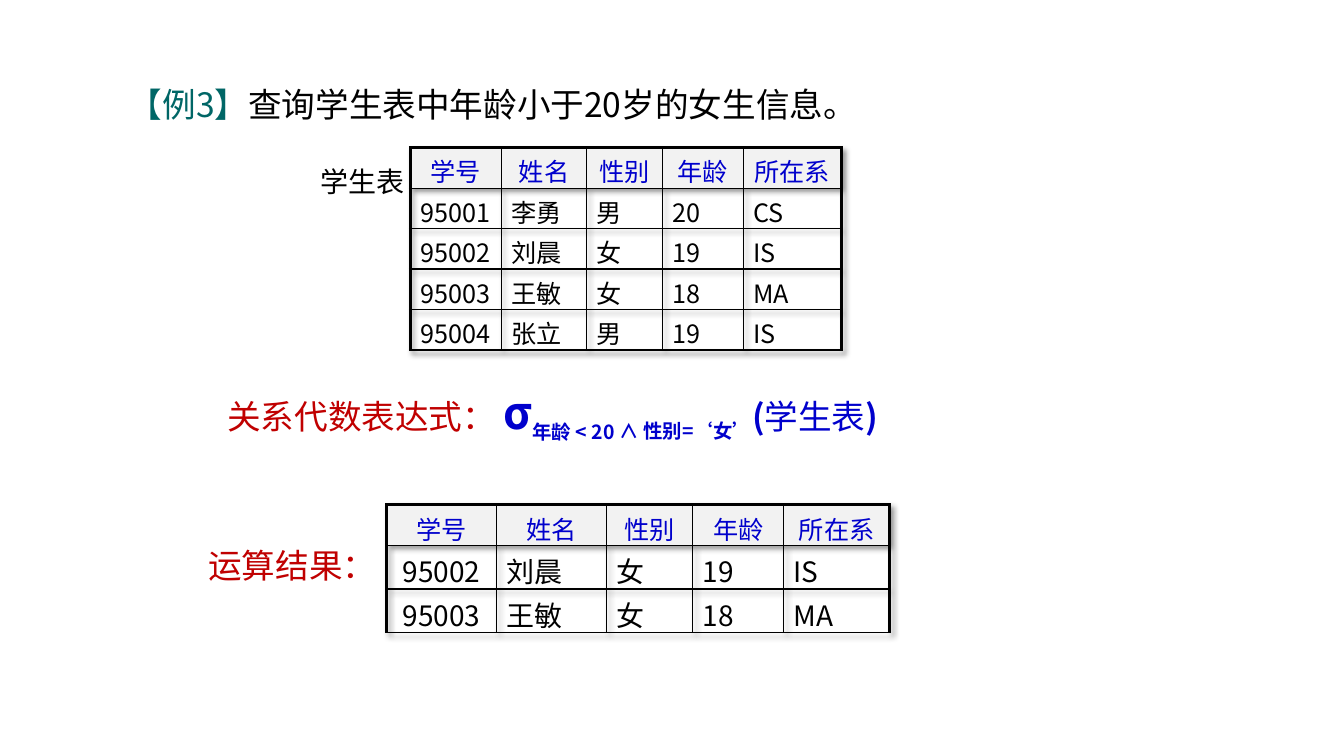
from lxml.etree import SubElement
from pptx import Presentation
from pptx.dml.color import RGBColor
from pptx.enum.text import MSO_ANCHOR as ANCHOR, MSO_AUTO_SIZE as AUTO, PP_ALIGN as ALIGN
from pptx.oxml.ns import qn
from pptx.util import Cm, Pt

FONT = "Noto Sans CJK SC"
BLACK, BLUE, RED, TEAL, GREY = "000000", "0000CC", "C00000", "006666", "F2F2F2"
THIN, THICK = Pt(1), Pt(2.25)
HEADERS = ["学号", "姓名", "性别", "年龄", "所在系"]
STUDENTS = [
    ["95001", "李勇", "男", "20", "CS"],
    ["95002", "刘晨", "女", "19", "IS"],
    ["95003", "王敏", "女", "18", "MA"],
    ["95004", "张立", "男", "19", "IS"],
]
RESULT = [row for row in STUDENTS if row[2] == "女" and int(row[3]) < 20]


def rgb(value):
    return RGBColor.from_string(value)


def add_text(p, text, size=24, color=BLACK, bold=False, baseline=0):
    """Append a run; baseline is a percentage, negative for subscript."""
    r = p.add_run()
    r.text = text
    r.font.size = Pt(size)
    r.font.bold = bold
    r.font.color.rgb = rgb(color)
    r.font.name = FONT
    props = r._r.get_or_add_rPr()
    SubElement(props, qn("a:ea"), typeface=FONT)
    if baseline:
        props.set("baseline", str(baseline * 1000))


def add_box(slide, left, top, width, height, wrap=True, anchor=ANCHOR.TOP):
    """Add an empty text box and return its first paragraph."""
    tf = slide.shapes.add_textbox(Cm(left), Cm(top), Cm(width), Cm(height)).text_frame
    tf.word_wrap = wrap
    tf.vertical_anchor = anchor
    tf.auto_size = AUTO.SHAPE_TO_FIT_TEXT if wrap else AUTO.NONE
    return tf.paragraphs[0]


def set_borders(cell, **widths):
    props = cell._tc.get_or_add_tcPr()
    for position, side in enumerate("LRTB"):
        line = props.makeelement(qn(f"a:ln{side}"), w=str(widths[side]))
        fill = SubElement(line, qn("a:solidFill"))
        SubElement(fill, qn("a:srgbClr"), val=BLACK)
        props.insert(position, line)


def add_shadow(table):
    props = table._tbl.tblPr
    effects = props.makeelement(qn("a:effectLst"))
    shadow = SubElement(effects, qn("a:outerShdw"), blurRad="50800", dist="38100",
                        dir="2700000", algn="tl", rotWithShape="0")
    color = SubElement(shadow, qn("a:srgbClr"), val=BLACK)
    SubElement(color, qn("a:alpha"), val="40000")
    props.insert(0, effects)


def add_grid(slide, left, top, widths, heights, records, size, bottom):
    """Add a table of students; bottom is the width of its lowest border."""
    rows = [HEADERS] + records
    last_row, last_col = len(rows) - 1, len(HEADERS) - 1
    frame = slide.shapes.add_table(len(rows), len(HEADERS), Cm(left), Cm(top),
                                   Cm(sum(widths)), Cm(sum(heights)))
    table = frame.table
    table.horz_banding = False
    add_shadow(table)
    for column, width in zip(table.columns, widths):
        column.width = Cm(width)
    for i, (row, height) in enumerate(zip(rows, heights)):
        table.rows[i].height = Cm(height)
        for j, text in enumerate(row):
            cell = table.cell(i, j)
            if i == 0:
                cell.fill.solid()
                cell.fill.fore_color.rgb = rgb(GREY)
            else:
                cell.fill.background()
            set_borders(cell, L=THIN if j else THICK, T=THIN if i else THICK,
                        R=THICK if j == last_col else THIN,
                        B=bottom if i == last_row else THIN)
            p = cell.text_frame.paragraphs[0]
            p.alignment = ALIGN.LEFT if i and j else ALIGN.CENTER
            add_text(p, text, size if i else 18, BLACK if i else BLUE)


def main():
    prs = Presentation()
    prs.slide_width, prs.slide_height = Cm(33.87), Cm(19.05)
    slide = prs.slides.add_slide(prs.slide_layouts[6])

    p = add_box(slide, 3, 2, 27.33, 1.28)
    add_text(p, "【例3】", color=TEAL)
    add_text(p, "查询学生表中年龄小于20岁的女生信息。")

    add_grid(slide, 9.74, 12.72, [2.77, 2.77, 2.18, 2.29, 2.67], [1.02, 1.1, 1.1],
             RESULT, 20, THIN)
    add_grid(slide, 10.34, 3.72, [2.29, 2.16, 1.91, 2.03, 2.47], [1.02] * 5,
             STUDENTS, 18, THICK)

    p = add_box(slide, 5, 13.61, 4.05, 1.28)
    add_text(p, "运算结果：", color=RED)

    p = add_box(slide, 7.88, 3.72, 2.54, 1.7, wrap=False, anchor=ANCHOR.MIDDLE)
    p.alignment = ALIGN.CENTER
    add_text(p, "学生表", 20)

    p = add_box(slide, 5.48, 9.58, 19.5, 1.62)
    add_text(p, "关系代数表达式： ", color=RED)
    add_text(p, "σ", 32, BLUE, bold=True)
    add_text(p, "年龄 < 20 ", color=BLUE, bold=True, baseline=-30)
    add_text(p, "∧ 性别=‘女’", color=BLUE, bold=True, baseline=-25)
    add_text(p, "(", color=BLUE, bold=True)
    add_text(p, "学生表", color=BLUE)
    add_text(p, ")", color=BLUE, bold=True)

    prs.save("out.pptx")


if __name__ == "__main__":
    main()
